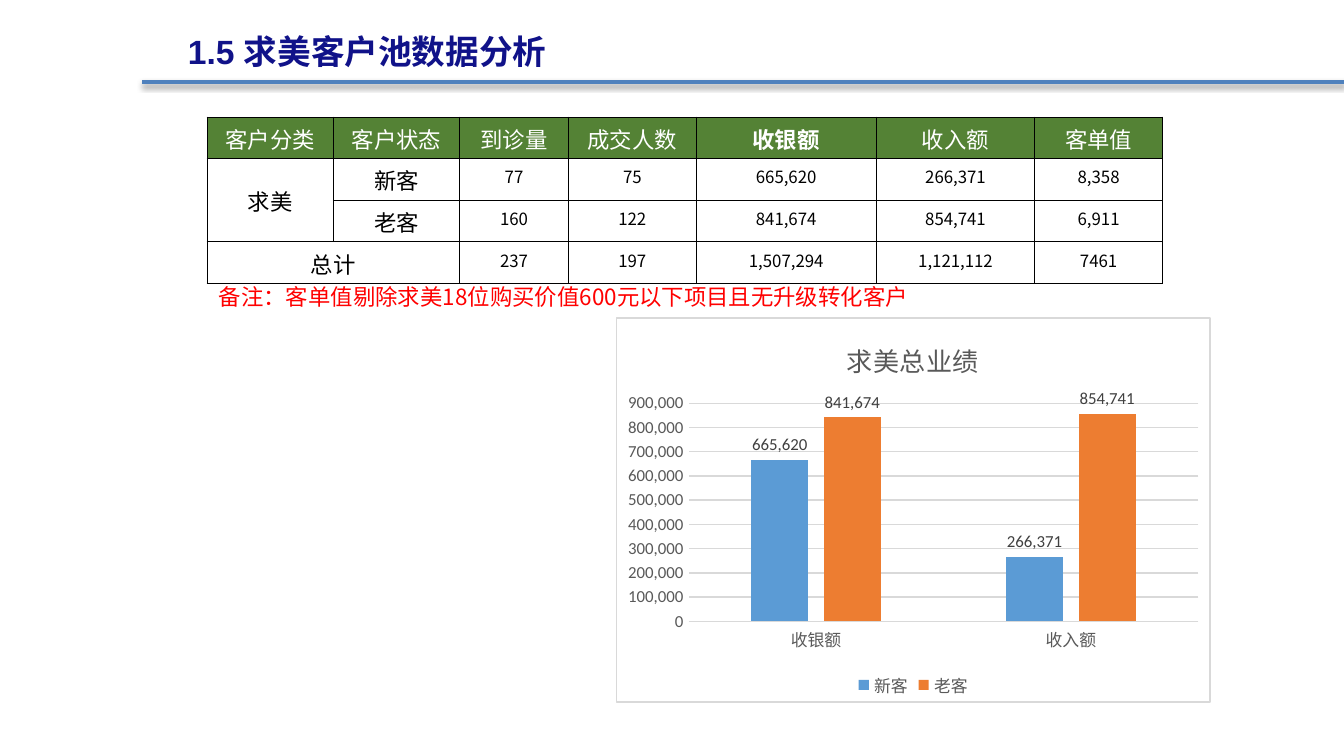
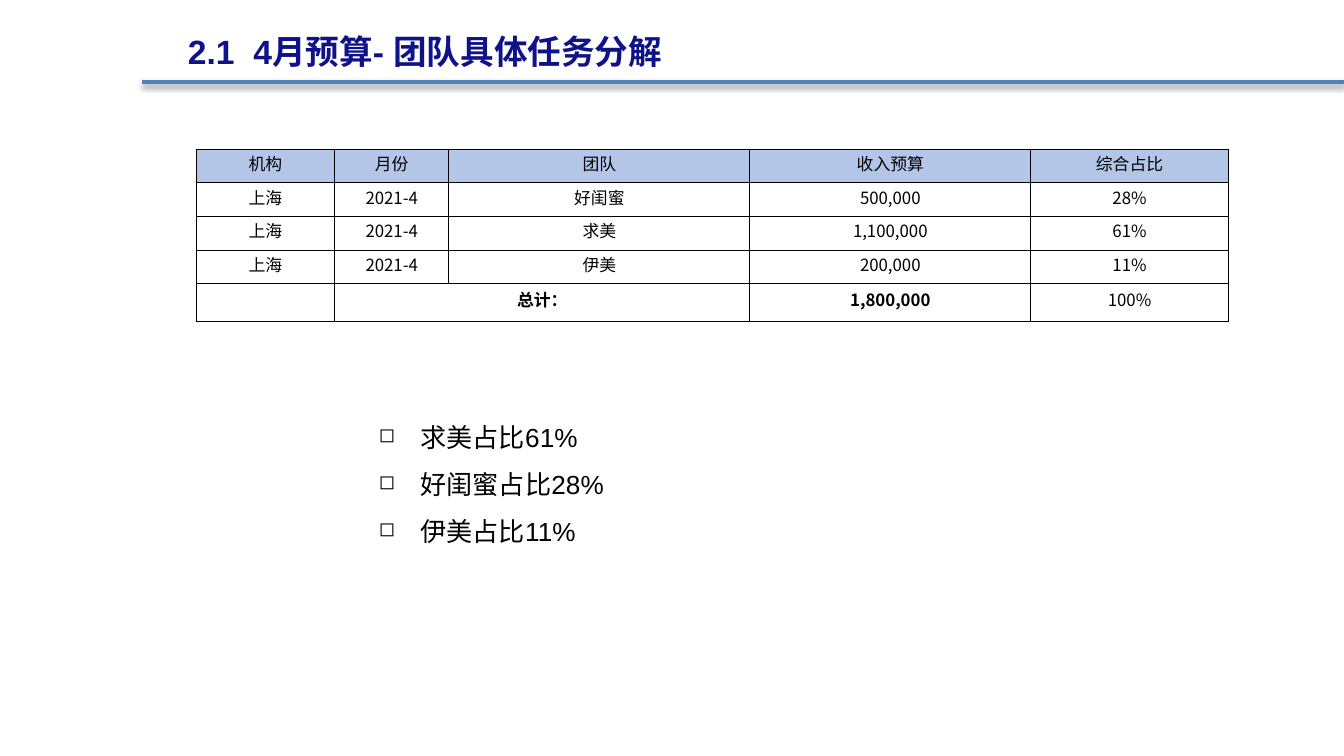
from lxml.etree import SubElement
from pptx import Presentation
from pptx.chart.data import CategoryChartData as Data
from pptx.dml.color import RGBColor
from pptx.enum.chart import XL_CHART_TYPE as Kind, XL_LABEL_POSITION as Spot
from pptx.enum.chart import XL_LEGEND_POSITION as Side, XL_TICK_MARK as Tick
from pptx.enum.shapes import MSO_CONNECTOR as Wire
from pptx.enum.text import MSO_ANCHOR as Anchor, MSO_AUTO_SIZE as Auto, PP_ALIGN as Align
from pptx.oxml import parse_xml
from pptx.oxml.ns import nsdecls, qn
from pptx.util import Inches, Pt

WIDE = 10
HIGH = WIDE * 9 / 16
ARIAL, NOTO, CALIBRI = "Arial", "Noto Sans CJK SC", "Calibri"
BLACK, WHITE, NAVY, RULE, RED = "000000", "FFFFFF", "101289", "4F81BD", "FF0000"
GREEN, PALE, GRID, GREY, DARK = "548235", "B4C6E7", "D9D9D9", "595959", "404040"

POOL = dict(
    title="1.5 求美客户池数据分析",
    rows=[
        ["客户分类", "客户状态", "到诊量", "成交人数", "收银额", "收入额", "客单值"],
        ["求美", "新客", "77", "75", "665,620", "266,371", "8,358"],
        ["", "老客", "160", "122", "841,674", "854,741", "6,911"],
        ["总计", "", "237", "197", "1,507,294", "1,121,112", "7461"],
    ],
    spot=(1.54, 0.87),
    cols=[0.94, 0.94, 0.81, 0.95, 1.34, 1.18, 0.95],
    highs=[0.31] * 4,
    spans=[(1, 0, 2, 0), (3, 0, 3, 1)],
    bold=[(0, 4)],
    look=dict(head=GREEN, ink=WHITE, size=12, face=NOTO, foot=0),
)
NOTE = "备注：客单值剔除求美18位购买价值600元以下项目且无升级转化客户"
SALES = dict(
    title="求美总业绩",
    cats=["收银额", "收入额"],
    series=[("新客", (665620, 266371), "5B9BD5"), ("老客", (841674, 854741), "ED7D31")],
)
PLAN = dict(
    title="2.1  4月预算- 团队具体任务分解",
    rows=[
        ["机构", "月份", "团队", "收入预算", "综合占比"],
        ["上海", "2021-4", "好闺蜜", "500,000", "28%"],
        ["上海", "2021-4", "求美", "1,100,000", "61%"],
        ["上海", "2021-4", "伊美", "200,000", "11%"],
        ["", "总计：", "", "1,800,000", "100%"],
    ],
    spot=(1.46, 1.11),
    cols=[1.03, 0.85, 2.24, 2.09, 1.47],
    highs=[0.25] * 4 + [0.28],
    spans=[(4, 1, 4, 2)],
    bold=[(4, 1), (4, 3)],
    look=dict(head=PALE, ink=BLACK, size=9, face=ARIAL, foot=0.05),
)
SHARES = ["求美占比61%", "好闺蜜占比28%", "伊美占比11%"]


def rgb(code):
    return RGBColor.from_string(code)


def style(font, size, color, face, bold=False):
    font.size, font.name, font.bold = Pt(size), face, bold
    font.color.rgb = rgb(color)


def write(frame, lines, size=12, color=BLACK, face=ARIAL, bold=False,
          align=None, lead=None, bullet=None):
    for i, line in enumerate(lines):
        para = frame.paragraphs[0] if i == 0 else frame.add_paragraph()
        para.alignment = align
        if lead:
            para.line_spacing = lead
        if bullet:
            props = para._p.get_or_add_pPr()
            props.set("marL", str(Inches(0.31)))
            props.set("indent", str(-Inches(0.31)))
            SubElement(props, qn("a:buSzPct")).set("val", "76000")
            SubElement(props, qn("a:buChar")).set("char", bullet)
        if line:
            run = para.add_run()
            run.text = line
            style(run.font, size, color, face, bold)
            SubElement(run._r.get_or_add_rPr(), qn("a:ea")).set("typeface", NOTO)
        else:
            SubElement(para._p, qn("a:endParaRPr")).set("sz", str(size * 100))


def add_box(slide, area, lines, **form):
    frame = slide.shapes.add_textbox(*map(Inches, area)).text_frame
    frame.word_wrap = True
    frame.auto_size = Auto.SHAPE_TO_FIT_TEXT
    write(frame, lines, **form)


def add_page(deck, title):
    slide = deck.slides.add_slide(deck.slide_layouts[6])
    add_box(slide, (1.3, 0.03, 7.35, 0.55), [title], size=18, color=NAVY,
            bold=True, lead=1.5)
    rule = slide.shapes.add_connector(
        Wire.STRAIGHT, Inches(1.06), Inches(0.61), Inches(WIDE), Inches(0.61))
    rule.line.color.rgb = rgb(RULE)
    rule.line.width = Pt(2)
    rule._element.spPr.append(parse_xml(
        f'<a:effectLst {nsdecls("a")}><a:outerShdw blurRad="{Pt(3.1)}" '
        f'dist="{Pt(1.6)}" dir="5400000" rotWithShape="0"><a:srgbClr val="{BLACK}">'
        '<a:alpha val="38000"/></a:srgbClr></a:outerShdw></a:effectLst>'))
    return slide


def edge(cell):
    props = cell._tc.get_or_add_tcPr()
    for side in "LRTB":
        props.append(parse_xml(
            f'<a:ln{side} {nsdecls("a")} w="{Pt(0.5)}"><a:solidFill>'
            f'<a:srgbClr val="{BLACK}"/></a:solidFill></a:ln{side}>'))


def add_grid(slide, rows, spot, cols, highs, spans, bold, look, **rest):
    area = (*spot, sum(cols), sum(highs))
    grid = slide.shapes.add_table(len(rows), len(cols), *map(Inches, area)).table
    for col, wide in zip(grid.columns, cols):
        col.width = Inches(wide)
    for row, high in zip(grid.rows, highs):
        row.height = Inches(high)
    for r, row in enumerate(rows):
        for c, text in enumerate(row):
            cell = grid.cell(r, c)
            digit = text[:1].isdigit()
            edge(cell)
            if r == 0:
                cell.fill.solid()
                cell.fill.fore_color.rgb = rgb(look["head"])
            else:
                cell.fill.background()
            cell.margin_left = cell.margin_right = cell.margin_top = Inches(0.01)
            cell.margin_bottom = Inches(0.05 if digit else look["foot"])
            cell.vertical_anchor = Anchor.MIDDLE
            write(cell.text_frame, [text], size=9 if digit else look["size"],
                  color=BLACK if r else look["ink"], bold=(r, c) in bold,
                  face=NOTO if digit else look["face"], align=Align.CENTER)
    for top, left, end, right in spans:
        grid.cell(top, left).merge(grid.cell(end, right))


def add_bars(slide, area, title, cats, series):
    data = Data(number_format="#,##0")
    data.categories = cats
    for name, vals, color in series:
        data.add_series(name, vals)
    chart = slide.shapes.add_chart(
        Kind.COLUMN_CLUSTERED, *map(Inches, area), data).chart
    style(chart.font, 10, BLACK, "Karla")
    chart._chartSpace.find(qn("c:txPr")).addprevious(parse_xml(
        f'<c:spPr {nsdecls("c", "a")}><a:solidFill><a:srgbClr val="{WHITE}"/>'
        f'</a:solidFill><a:ln w="{Pt(0.75)}"><a:solidFill><a:srgbClr val="{GRID}"/>'
        '</a:solidFill></a:ln></c:spPr>'))
    chart.has_title = True
    write(chart.chart_title.text_frame, [title], size=14, color=GREY, face=CALIBRI)
    chart.chart_title.include_in_layout = False
    chart.has_legend = True
    chart.legend.position = Side.BOTTOM
    chart.legend.include_in_layout = False
    style(chart.legend.font, 9, GREY, CALIBRI)
    cat, val = chart.category_axis, chart.value_axis
    for axis in (cat, val):
        axis.major_tick_mark = axis.minor_tick_mark = Tick.NONE
        style(axis.tick_labels.font, 9, GREY, CALIBRI)
    val.tick_labels.number_format = "#,##0"
    val.tick_labels.number_format_is_linked = False
    val.format.line.fill.background()
    for line in (cat.format.line, val.major_gridlines.format.line):
        line.color.rgb = rgb(GRID)
        line.width = Pt(0.75)
    plot = chart.plots[0]
    plot.gap_width, plot.overlap, plot.vary_by_categories = 219, -27, False
    for bar, (name, vals, color) in zip(plot.series, series):
        bar.format.fill.solid()
        bar.format.fill.fore_color.rgb = rgb(color)
        tags = bar.data_labels
        tags.show_value = True
        tags.position = Spot.OUTSIDE_END
        tags.number_format = "#,##0"
        tags.number_format_is_linked = False
        style(tags.font, 9, DARK, CALIBRI)


def main():
    deck = Presentation()
    deck.slide_width, deck.slide_height = Inches(WIDE), Inches(HIGH)
    pool = add_page(deck, POOL["title"])
    add_grid(pool, **POOL)
    add_box(pool, (1.53, 2.06, 6.22, 0.3), [NOTE], color=RED, face=NOTO)
    add_bars(pool, (4.58, 2.36, 4.43, 2.87), **SALES)
    plan = add_page(deck, PLAN["title"])
    add_box(plan, (2.72, 2.97, 5.43, 1.16), SHARES, size=14, lead=1.5, bullet="◻")
    add_grid(plan, **PLAN)
    deck.save("out.pptx")


if __name__ == "__main__":
    main()
